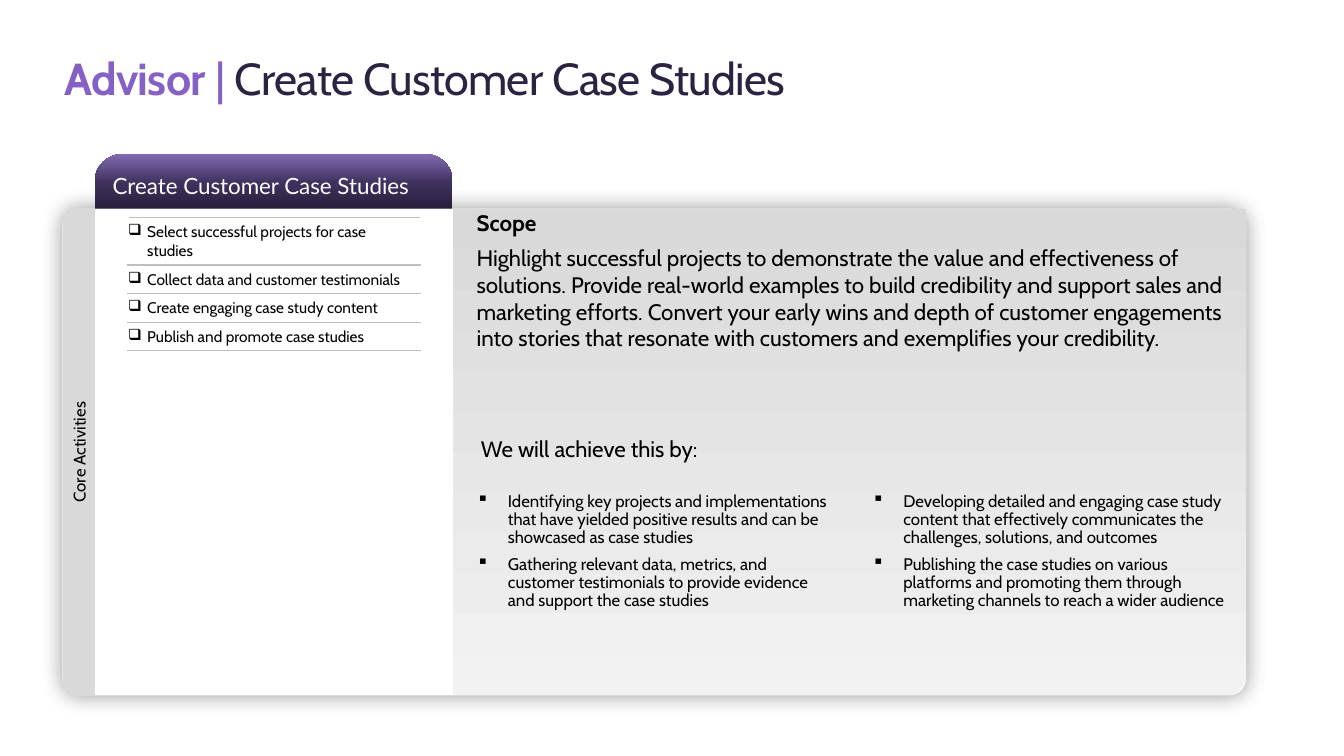
from lxml.etree import SubElement
from pptx import Presentation
from pptx.dml.color import RGBColor
from pptx.enum.shapes import MSO_SHAPE
from pptx.enum.text import MSO_ANCHOR, PP_ALIGN
from pptx.oxml import parse_xml
from pptx.oxml.ns import nsdecls, qn
from pptx.util import Inches, Pt

ACTIVITIES = [
    "Select successful projects for case studies",
    "Collect data and customer testimonials",
    "Create engaging case study content",
    "Publish and promote case studies",
]
SCOPE = (
    "Highlight successful projects to demonstrate the value and effectiveness of solutions. "
    "Provide real-world examples to build credibility and support sales and marketing efforts. "
    "Convert your early wins and depth of customer engagements into stories that resonate "
    "with customers and exemplifies your credibility."
)
METHODS = [
    "Identifying key projects and implementations that have yielded positive results "
    "and can be showcased as case studies",
    "Gathering relevant data, metrics, and customer testimonials to provide evidence "
    "and support the case studies",
    "Developing detailed and engaging case study content that effectively communicates "
    "the challenges, solutions, and outcomes",
    "Publishing the case studies on various platforms and promoting them through "
    "marketing channels to reach a wider audience",
]


def rgb(value):
    """Turn a hex string into a colour."""
    return RGBColor.from_string(value)


def write(paragraph, text, size=16, color="000000", bold=False, font="Cabin", tracking=None):
    """Add a formatted run to a paragraph."""
    run = paragraph.add_run()
    run.text = text
    run.font.size = Pt(size)
    run.font.name = font
    run.font.bold = bold
    run.font.color.rgb = rgb(color)
    if tracking is not None:
        run.font._element.set("spc", str(int(tracking * 100)))


def add_bullet(paragraph, symbol, hang):
    """Give a paragraph a hanging bullet."""
    properties = paragraph._p.get_or_add_pPr()
    properties.set("marL", str(Inches(hang)))
    properties.set("indent", str(-Inches(hang)))
    SubElement(properties, qn("a:buChar")).set("char", symbol)


def set_insets(frame, left, top, right, bottom):
    """Set the inner margins of a text frame or cell."""
    frame.margin_left, frame.margin_top = Inches(left), Inches(top)
    frame.margin_right, frame.margin_bottom = Inches(right), Inches(bottom)


def add_frame(slide, box, insets):
    """Add a wrapping text box and return its frame."""
    frame = slide.shapes.add_textbox(*map(Inches, box)).text_frame
    frame.word_wrap = True
    set_insets(frame, *insets)
    return frame


def add_panel(slide, preset, box, adjustments, fill=None):
    """Add a borderless shape without shadow."""
    panel = slide.shapes.add_shape(preset, *map(Inches, box))
    panel.shadow.inherit = False
    panel.line.fill.background()
    for index, value in enumerate(adjustments):
        panel.adjustments[index] = value
    if fill:
        panel.fill.solid()
        panel.fill.fore_color.rgb = rgb(fill)
    panel.text_frame.word_wrap = True
    panel.text_frame.vertical_anchor = MSO_ANCHOR.MIDDLE
    return panel


def set_gradient(shape, stops, angle):
    """Fill a shape with a linear gradient."""
    marks = "".join(
        f'<a:gs pos="{place * 1000}"><a:srgbClr val="{color}"/></a:gs>' for place, color in stops
    )
    gradient = parse_xml(
        f'<a:gradFill {nsdecls("a")} rotWithShape="1"><a:gsLst>{marks}</a:gsLst>'
        f'<a:lin ang="{angle * 60000}" scaled="0"/></a:gradFill>'
    )
    shape._element.spPr.find(qn("a:prstGeom")).addnext(gradient)


def add_glow_shadow(shape, color, opacity, blur):
    """Add a soft shadow on all sides of a shape."""
    effects = shape._element.spPr.find(qn("a:effectLst"))
    effects.append(parse_xml(
        f'<a:outerShdw {nsdecls("a")} blurRad="{Pt(blur)}" dist="0" algn="ctr" rotWithShape="0">'
        f'<a:srgbClr val="{color}"><a:alpha val="{opacity * 1000}"/></a:srgbClr></a:outerShdw>'
    ))


def add_title(slide, box):
    """Add the two-tone slide title."""
    title = add_frame(slide, box, (0, 0, 0, 0)).paragraphs[0]
    write(title, "Advisor ", size=32, color="8661C5", bold=True, tracking=-0.5)
    write(title, "| ", size=32, color="8661C5", tracking=-0.5)
    write(title, "Create Customer Case Studies", size=32, color="2C2342", tracking=-0.5)


def add_card(slide, box, tab_width, list_width, tab_height):
    """Add the card with its scope panel, header and side label."""
    left, top, width, height = box
    card = add_panel(slide, MSO_SHAPE.ROUNDED_RECTANGLE, box, [0.035], "FFFFFF")
    add_glow_shadow(card, "000000", 40, 15)

    offset = tab_width + list_width
    scope_box = (left + offset, top, width - offset, height)
    scope_panel = add_panel(slide, MSO_SHAPE.ROUND_1_RECTANGLE, scope_box, [0.04])
    set_gradient(scope_panel, [(0, "F2F2F2"), (100, "D9D9D9")], 90)
    scope_panel._element.spPr.find(qn("a:xfrm")).set("flipV", "1")

    header_box = (left + tab_width, top - tab_height, list_width, tab_height)
    header = add_panel(slide, MSO_SHAPE.ROUND_2_SAME_RECTANGLE, header_box, [0.5, 0])
    set_gradient(header, [(0, "281F3B"), (48, "40325F"), (100, "816BB2")], 270)
    heading = header.text_frame.paragraphs[0]
    heading.alignment = PP_ALIGN.LEFT
    write(heading, "Create Customer Case Studies", color="FFFFFF", font="Lato")

    side_box = (left + (tab_width - height) / 2, top + (height - tab_width) / 2, height, tab_width)
    side = add_panel(slide, MSO_SHAPE.ROUND_2_SAME_RECTANGLE, side_box, [0.5, 0], "D9D9D9")
    side.rotation = 270
    set_insets(side.text_frame, 0.2, 0.16, 0.2, 0.2)
    label = side.text_frame.paragraphs[0]
    label.alignment = PP_ALIGN.CENTER
    write(label, "Core Activities", size=12)


def add_scope(slide, box):
    """Add the scope, the lead-in and the two columns of methods."""
    left, top, width, height = box
    insets = (0.1, 0, 0.1, 0.05)
    scope = add_frame(slide, (left, top, width, 1.75), insets)
    write(scope.paragraphs[0], "Scope", bold=True)
    summary = scope.add_paragraph()
    summary.space_before = Pt(6)
    write(summary, SCOPE)

    lead_in = add_frame(slide, (left + 0.04, top + 2.25, width - 0.13, 0.32), insets)
    write(lead_in.paragraphs[0], "We will achieve this by:")

    methods = add_frame(slide, (left, top + 2.77, width, height - 2.77), (0.1, 0.05, 0.1, 0.05))
    columns = methods._txBody.bodyPr
    columns.set("numCol", "2")
    columns.set("spcCol", str(Inches(0.4)))
    for index, method in enumerate(METHODS):
        paragraph = methods.add_paragraph() if index else methods.paragraphs[0]
        add_bullet(paragraph, "▪", 0.31)
        paragraph.line_spacing = 0.9
        paragraph.space_after = Pt(6)
        write(paragraph, method, size=12)


def add_activities(slide, box):
    """Add the ruled checklist of activities."""
    table = slide.shapes.add_table(len(ACTIVITIES), 1, *map(Inches, box)).table
    table.first_row = table.horz_banding = False
    for index, activity in enumerate(ACTIVITIES):
        table.rows[index].height = Inches(0.28 if index else 0.47)
        cell = table.cell(index, 0)
        set_insets(cell, 0, 0.05, 0.05, 0.05)
        for side in ("lnT", "lnB"):
            cell._tc.get_or_add_tcPr().append(parse_xml(
                f'<a:{side} {nsdecls("a")} w="{Pt(1)}"><a:solidFill>'
                f'<a:srgbClr val="BFBFBF"/></a:solidFill></a:{side}>'
            ))
        cell.fill.background()
        paragraph = cell.text_frame.paragraphs[0]
        add_bullet(paragraph, "❑", 0.19)
        write(paragraph, activity, size=11)


def main():
    """Build and save the slide."""
    deck = Presentation()
    deck.slide_width, deck.slide_height = Inches(13.33), Inches(7.5)
    slide = deck.slides.add_slide(deck.slide_layouts[6])
    add_title(slide, (0.64, 0.5, 12.05, 1.08))
    add_card(slide, (0.62, 2.07, 11.74, 4.83), tab_width=0.32, list_width=3.55, tab_height=0.54)
    add_scope(slide, (4.63, 2.07, 7.64, 4.22))
    add_activities(slide, (1.27, 2.16, 2.9, 1.32))
    deck.save("out.pptx")


if __name__ == "__main__":
    main()
